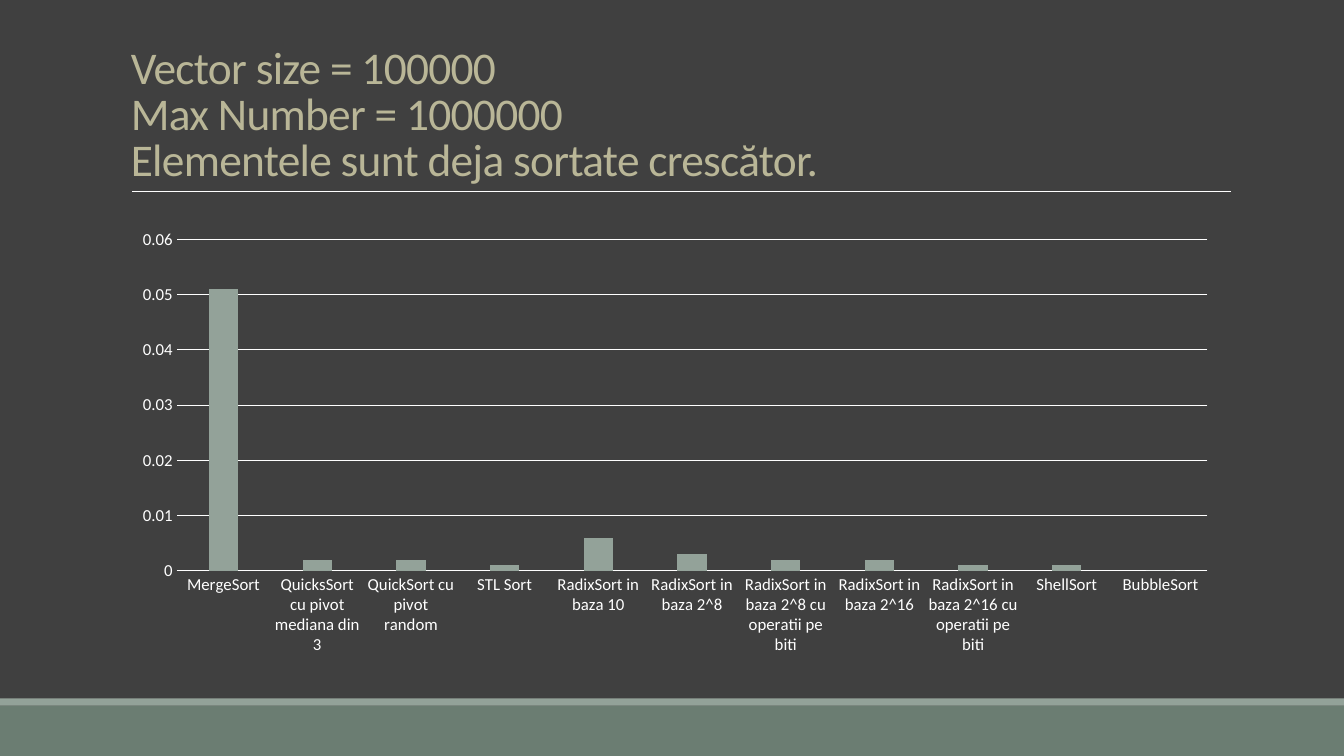
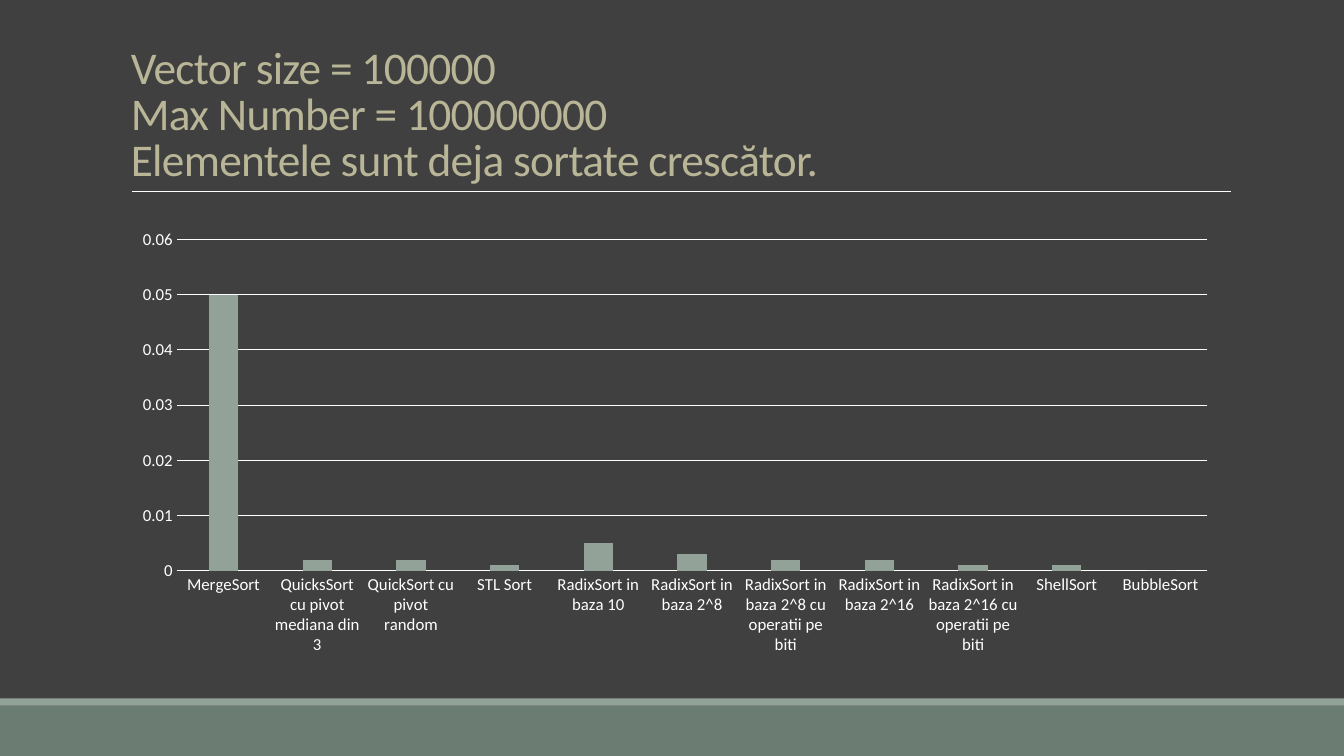
from copy import deepcopy
from dataclasses import dataclass

from pptx import Presentation
from pptx.chart.data import CategoryChartData
from pptx.dml.color import RGBColor
from pptx.enum.chart import XL_CHART_TYPE as ChartType, XL_TICK_MARK as TickMark
from pptx.enum.shapes import MSO_CONNECTOR as Connector, MSO_SHAPE as ShapeKind
from pptx.enum.text import MSO_ANCHOR as Anchor, MSO_AUTO_SIZE as AutoSize, PP_ALIGN as Align
from pptx.oxml.ns import qn
from pptx.util import Pt
from lxml.etree import SubElement

EMU_PER_PX = 9525
SLIDE_WIDTH, SLIDE_HEIGHT = 1280, 720
TITLE_ONLY = 5


@dataclass(frozen=True)
class Theme:
    background: str = "404040"
    band: str = "6B7D72"
    accent: str = "93A299"
    title: str = "B9B697"
    light: str = "FFFFFF"
    font: str = "Calibri"
    title_size: float = 32.4
    chart_size: int = 10
    axis_size: int = 12
    rule_width: float = 0.5
    axis_width: float = 0.75


def px(length):
    return round(length * EMU_PER_PX)


def box(*lengths):
    return [px(length) for length in lengths]


def color(code):
    return RGBColor.from_string(code)


def format_font(font, name, size, code):
    font.name = name
    font.size = Pt(size)
    font.color.rgb = color(code)


def format_line(line, code, width):
    line.color.rgb = color(code)
    line.width = Pt(width)


def write_text(paragraph, text, *, name, size, code, line_spacing=1.0,
               letter_spacing=0, align=Align.LEFT):
    """Fill one paragraph; each newline becomes a line break."""
    paragraph.text = text.replace("\n", "\v")
    paragraph.alignment = align
    paragraph.line_spacing = line_spacing
    for run in paragraph.runs:
        format_font(run.font, name, size, code)
        properties = run.font._element if hasattr(run.font, "_element") else run._r.get_or_add_rPr()
        properties.set("spc", str(round(letter_spacing * 100)))
    # Breaks take the run format so that they keep the line height
    for line_break in paragraph._p.findall(qn("a:br")):
        line_break.insert(0, deepcopy(paragraph.runs[0]._r.get_or_add_rPr()))


class Deck:
    def __init__(self, theme):
        self.theme = theme
        self.presentation = Presentation()
        self.presentation.slide_width = px(SLIDE_WIDTH)
        self.presentation.slide_height = px(SLIDE_HEIGHT)
        fill = self.presentation.slide_master.background.fill
        fill.solid()
        fill.fore_color.rgb = color(theme.background)
        self.slide = None

    def add_slide(self, title):
        layout = self.presentation.slide_layouts[TITLE_ONLY]
        self.slide = self.presentation.slides.add_slide(layout)
        # Footer bands and the rule under the title
        self.add_band(672, 48, self.theme.band)
        self.add_band(665, 7, self.theme.accent)
        self.add_rule(126, 1172, 182)
        self.set_title(title)

    def add_band(self, top, height, code):
        band = self.slide.shapes.add_shape(ShapeKind.RECTANGLE, *box(0, top, SLIDE_WIDTH, height))
        band.shadow.inherit = False
        band.fill.solid()
        band.fill.fore_color.rgb = color(code)
        band.line.fill.background()

    def add_rule(self, left, right, top):
        rule = self.slide.shapes.add_connector(Connector.STRAIGHT, *box(left, top, right, top))
        format_line(rule.line, self.theme.light, self.theme.rule_width)
        SubElement(rule._element.spPr, qn("a:effectLst"))

    def set_title(self, text):
        title = self.slide.shapes.title
        title.left, title.top, title.width, title.height = box(115, 30, 1056, 152)
        frame = title.text_frame
        frame.word_wrap = True
        frame.auto_size = AutoSize.NONE
        frame.vertical_anchor = Anchor.BOTTOM
        write_text(frame.paragraphs[0], text, name=self.theme.font, size=self.theme.title_size,
                   code=self.theme.title, line_spacing=0.85, letter_spacing=-0.5)

    def add_column_chart(self, categories, values):
        theme = self.theme
        data = CategoryChartData()
        data.categories = categories
        data.add_series("Series 1", values)
        chart = self.slide.shapes.add_chart(
            ChartType.COLUMN_CLUSTERED, *box(115, 210, 1056, 422), data).chart
        chart.has_title = False
        chart.has_legend = False
        format_font(chart.font, theme.font, theme.chart_size, theme.light)

        # Columns
        plot = chart.plots[0]
        plot.vary_by_categories = False
        plot.gap_width = 219
        plot.overlap = -27
        fill = plot.series[0].format.fill
        fill.solid()
        fill.fore_color.rgb = color(theme.accent)

        # Axes
        for axis in (chart.category_axis, chart.value_axis):
            axis.major_tick_mark = axis.minor_tick_mark = TickMark.NONE
            format_font(axis.tick_labels.font, theme.font, theme.axis_size, theme.light)
        format_line(chart.category_axis.format.line, theme.light, theme.axis_width)
        value_axis = chart.value_axis
        value_axis.minimum_scale, value_axis.maximum_scale = 0, 0.06
        value_axis.major_unit = 0.01
        value_axis.tick_labels.number_format = "General"
        value_axis.tick_labels.number_format_is_linked = False
        value_axis.format.line.fill.background()
        format_line(value_axis.major_gridlines.format.line, theme.light, theme.axis_width)


ALGORITHMS = [
    "MergeSort",
    "QuicksSort cu pivot mediana din 3",
    "QuickSort cu pivot random",
    "STL Sort",
    "RadixSort in baza 10",
    "RadixSort in baza 2^8",
    "RadixSort in baza 2^8 cu operatii pe biti",
    "RadixSort in baza 2^16",
    "RadixSort in baza 2^16 cu operatii pe biti",
    "ShellSort",
    "BubbleSort",
]

# Largest number in the vector, and the time of each algorithm
RESULTS = [
    (1000000, [0.051, 0.002, 0.002, 0.001, 0.006, 0.003, 0.002, 0.002, 0.001, 0.001, 0]),
    (100000000, [0.05, 0.002, 0.002, 0.001, 0.005, 0.003, 0.002, 0.002, 0.001, 0.001, 0]),
]


def main():
    deck = Deck(Theme())
    for max_number, times in RESULTS:
        deck.add_slide(f"Vector size = 100000\nMax Number = {max_number}\n"
                       "Elementele sunt deja sortate crescător.")
        deck.add_column_chart(ALGORITHMS, times)
    deck.presentation.save("out.pptx")


if __name__ == "__main__":
    main()
